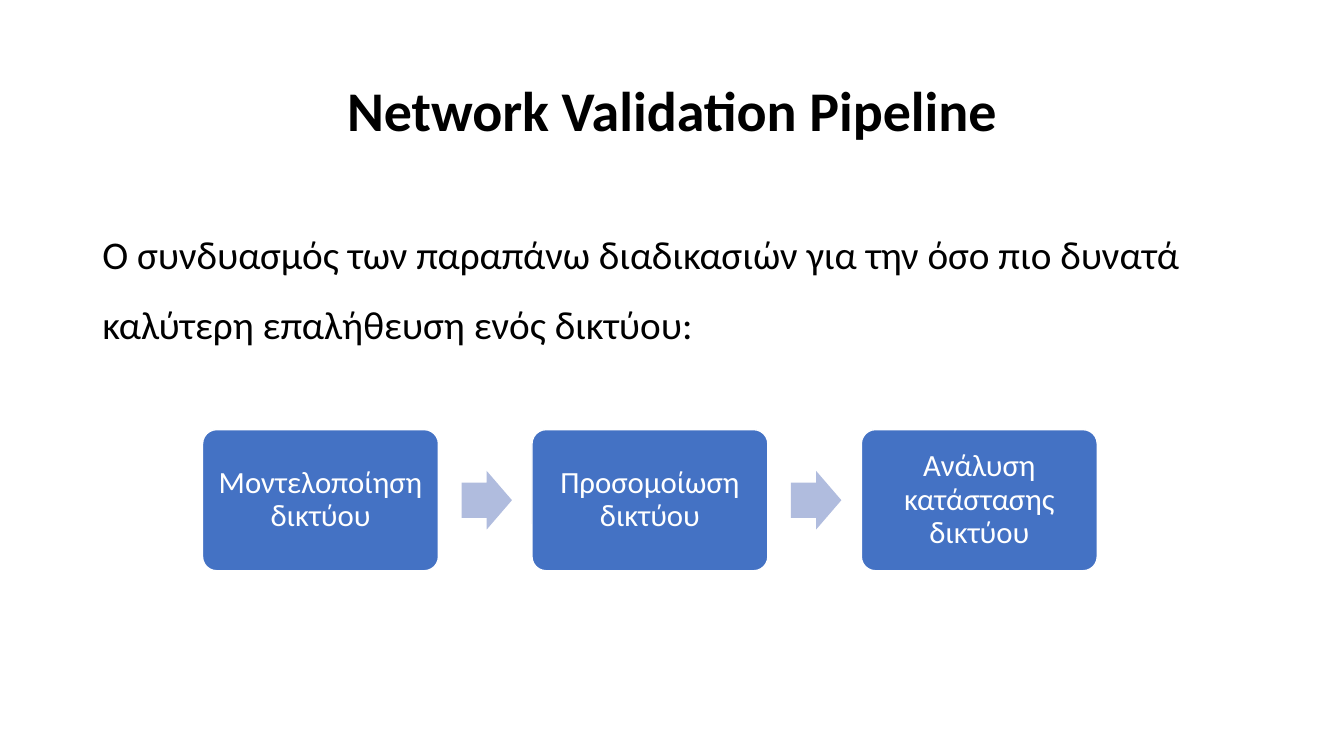
import pptx
import pptx.dml.color
import pptx.enum.shapes
import pptx.enum.text
import pptx.util

Pt = pptx.util.Pt
RGBColor = pptx.dml.color.RGBColor
Shape = pptx.enum.shapes.MSO_SHAPE
Align = pptx.enum.text.PP_ALIGN
Anchor = pptx.enum.text.MSO_ANCHOR

BLACK = RGBColor(0x00, 0x00, 0x00)
WHITE = RGBColor(0xFF, 0xFF, 0xFF)
BLUE = RGBColor(0x44, 0x72, 0xC4)
PALE_BLUE = RGBColor(0xB0, 0xBC, 0xDE)

TITLE_ONLY_LAYOUT = 5
STEPS = ["Μοντελοποίηση δικτύου", "Προσομοίωση δικτύου", "Ανάλυση κατάστασης δικτύου"]
STEP_LEFT, STEP_TOP, STEP_WIDTH, STEP_HEIGHT = 144.7, 306.9, 168.5, 100.8
STEP_PITCH = 235.3
ARROW_OFFSET, ARROW_WIDTH, ARROW_HEIGHT = 185, 36, 41.8
STEP_INSET = 6.5


def set_attributes(target, values):
    for name, value in values.items():
        setattr(target, name, value)


class SlideBuilder:
    """Holds the text style and the current slide."""

    font_name = "Calibri"

    def __init__(self, slide):
        self.slide = slide

    def fill_text(self, shape, text, font, paragraph_format, frame_format):
        frame = shape.text_frame
        set_attributes(frame, {"word_wrap": True, **frame_format})
        paragraph = frame.paragraphs[0]
        set_attributes(paragraph, paragraph_format)
        run = paragraph.add_run()
        run.text = text
        set_attributes(run.font, {"name": self.font_name, "size": Pt(font["size"]),
                                  "bold": font.get("bold", False)})
        run.font.color.rgb = font["color"]

    def title(self, text, left, top, width, height):
        shape = self.slide.shapes.title
        set_attributes(shape, {"left": Pt(left), "top": Pt(top),
                               "width": Pt(width), "height": Pt(height)})
        self.fill_text(shape, text, {"size": 40, "bold": True, "color": BLACK},
                       {"alignment": Align.CENTER, "line_spacing": 0.9},
                       {"vertical_anchor": Anchor.MIDDLE})

    def body(self, text, left, top, width, height):
        shape = self.slide.shapes.add_textbox(Pt(left), Pt(top), Pt(width), Pt(height))
        self.fill_text(shape, text, {"size": 28, "color": BLACK},
                       {"alignment": Align.LEFT, "line_spacing": 1.5, "space_before": Pt(10)},
                       {"vertical_anchor": Anchor.TOP})

    def block(self, kind, left, top, width, height, fill, adjustments):
        shape = self.slide.shapes.add_shape(kind, Pt(left), Pt(top), Pt(width), Pt(height))
        shape.shadow.inherit = False
        shape.fill.solid()
        shape.fill.fore_color.rgb = fill
        shape.line.fill.background()
        for index, value in enumerate(adjustments):
            shape.adjustments[index] = value
        return shape

    def step(self, text, left, top, width, height):
        shape = self.block(Shape.ROUNDED_RECTANGLE, left, top, width, height, BLUE, [0.1])
        shape.line.color.rgb = WHITE
        shape.line.width = Pt(1)
        sides = ("left", "top", "right", "bottom")
        insets = {f"margin_{side}": Pt(STEP_INSET) for side in sides}
        self.fill_text(shape, text, {"size": 22, "color": WHITE},
                       {"alignment": Align.CENTER, "line_spacing": 0.9},
                       {"vertical_anchor": Anchor.MIDDLE, **insets})

    def arrow(self, left, top, width, height):
        self.block(Shape.RIGHT_ARROW, left, top, width, height, PALE_BLUE, [0.6, 0.5])


def main():
    presentation = pptx.Presentation()
    presentation.slide_width = Pt(960)
    presentation.slide_height = Pt(540)
    layout = presentation.slide_layouts[TITLE_ONLY_LAYOUT]
    builder = SlideBuilder(presentation.slides.add_slide(layout))

    # Title and introduction
    builder.title("Network Validation Pipeline", 66, 28.8, 828, 104.4)
    builder.body("Ο συνδυασμός των παραπάνω διαδικασιών για την όσο πιο δυνατά "
                 "καλύτερη επαλήθευση ενός δικτύου:", 66, 144, 828, 342.7)

    # Pipeline: steps with an arrow between neighbours
    arrow_top = STEP_TOP + (STEP_HEIGHT - ARROW_HEIGHT) / 2
    for index, text in enumerate(STEPS):
        left = STEP_LEFT + index * STEP_PITCH
        builder.step(text, left, STEP_TOP, STEP_WIDTH, STEP_HEIGHT)
        if index < len(STEPS) - 1:
            builder.arrow(left + ARROW_OFFSET, arrow_top, ARROW_WIDTH, ARROW_HEIGHT)

    presentation.save("out.pptx")


if __name__ == "__main__":
    main()
